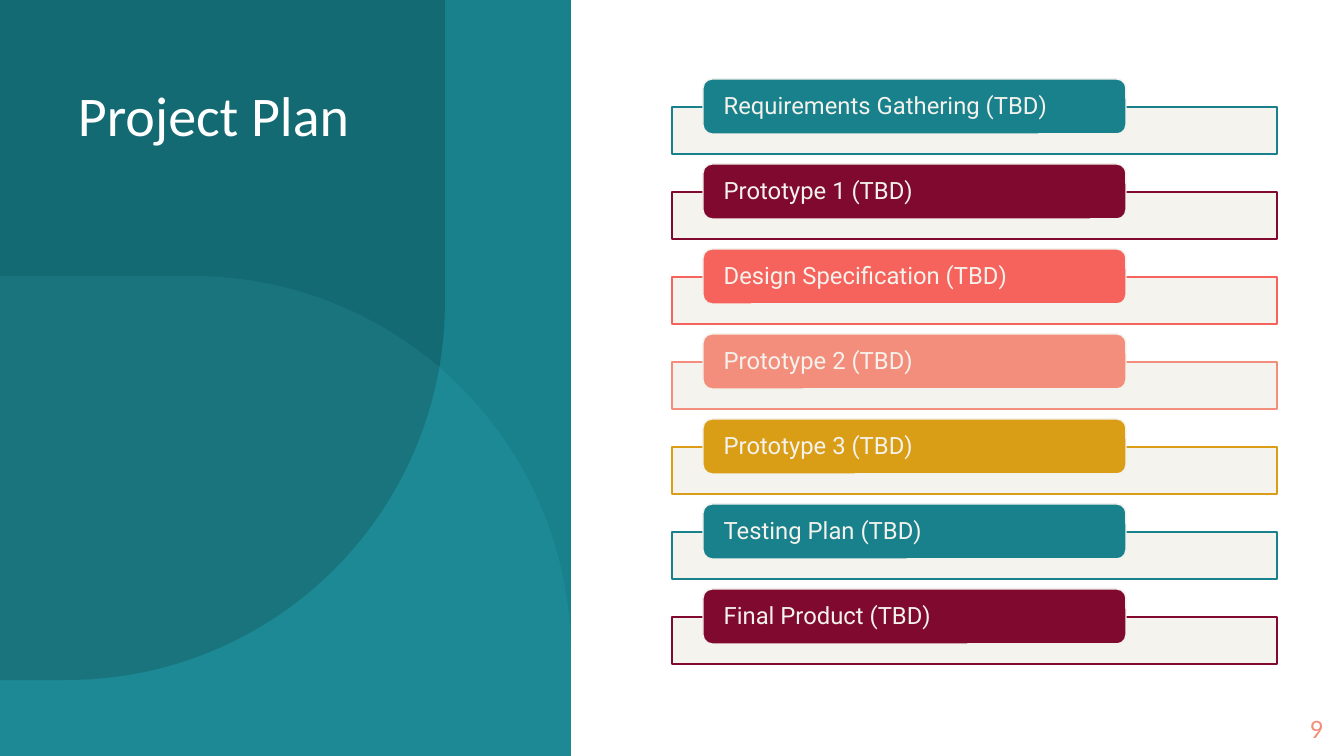
import math

from lxml import etree
from pptx import Presentation, util as u
from pptx.dml.color import RGBColor
from pptx.enum import shapes, text
from pptx.oxml import ns

# Content
TITLE = "Project Plan"
PAGE_NUMBER = "9"
STAGES = [
    ("Requirements Gathering (TBD)", "teal"),
    ("Prototype 1 (TBD)", "wine"),
    ("Design Specification (TBD)", "coral"),
    ("Prototype 2 (TBD)", "salmon"),
    ("Prototype 3 (TBD)", "gold"),
    ("Testing Plan (TBD)", "teal"),
    ("Final Product (TBD)", "wine"),
]
COLORS = {
    "teal": "18818C", "deep_teal": "126169", "aqua": "4ED3E1",
    "wine": "800A2F", "coral": "F6635C", "salmon": "F48E7C",
    "gold": "DA9D16", "cream": "F4F2EC", "white": "FFFFFF",
}

# Geometry in px
PX = 914400 / 100.8
SLIDE_WIDTH, SLIDE_HEIGHT = 1344, 756
PANEL_WIDTH = 571
ARC_RADIUS, ARC_STEPS = 378, 60
STAGE_PITCH = 85
FRAME = (672, 107, 605, 47)
LABEL = (703, 79, 423, 55)


def px(value):
    return u.Emu(round(value * PX))


def color(name):
    return RGBColor.from_string(COLORS[name])


def paint(shape, fill, opacity=100, line=None):
    shape.shadow.inherit = False
    shape.fill.solid()
    shape.fill.fore_color.rgb = color(fill)
    if opacity < 100:
        rgb = shape._element.spPr.find(ns.qn("a:solidFill"))[0]
        etree.SubElement(rgb, ns.qn("a:alpha"), val=str(opacity * 1000))
    if line:
        shape.line.color.rgb = color(line)
        shape.line.width = u.Pt(1)
    else:
        shape.line.fill.background()


def add_box(kind, box, *style):
    shape = slide.shapes.add_shape(kind, *map(px, box))
    paint(shape, *style)
    return shape


def write(shape, words, font_name, size, font_color):
    paragraph = shape.text_frame.paragraphs[0]
    paragraph.text = words
    paragraph.font.name = font_name
    paragraph.font.size = u.Pt(size)
    paragraph.font.color.rgb = color(font_color)
    return paragraph


def add_text(box, *style):
    shape = slide.shapes.add_textbox(*map(px, box))
    shape.text_frame.word_wrap = True
    return shape, write(shape, *style)


def quarter_arc(center_x, center_y, start):
    """Points of a clockwise quarter circle, start in degrees."""
    angles = [math.radians(start + 90 * step / ARC_STEPS)
              for step in range(ARC_STEPS + 1)]
    return [(center_x + ARC_RADIUS * math.cos(angle),
             center_y + ARC_RADIUS * math.sin(angle)) for angle in angles]


def add_outline(points, fill, opacity):
    builder = slide.shapes.build_freeform(
        *(round(value * PX) for value in points[0]), scale=1.0)
    builder.add_line_segments(
        [(px(x), px(y)) for x, y in points[1:]], close=True)
    paint(builder.convert_to_shape(), fill, opacity)


presentation = Presentation()
presentation.slide_width = px(SLIDE_WIDTH)
presentation.slide_height = px(SLIDE_HEIGHT)
slide = presentation.slides.add_slide(presentation.slide_layouts[6])

# Left panel with two overlapping rounded outlines
add_box(shapes.MSO_SHAPE.RECTANGLE, (0, 0, PANEL_WIDTH, SLIDE_HEIGHT), "teal")
add_outline([(0, 0), (445, 0), *quarter_arc(67, 302, 0), (0, 680)],
            "deep_teal", 70)
add_outline([(0, 276), *quarter_arc(193, 654, -90),
             (PANEL_WIDTH, SLIDE_HEIGHT), (0, SLIDE_HEIGHT)], "aqua", 10)

# Title and page number
add_text((68, 76, 445, 444), TITLE, "Calibri", 40, "white")
number, paragraph = add_text((1256, 710, 77, 40), PAGE_NUMBER,
                             "Calibri", 19, "salmon")
number.text_frame.vertical_anchor = text.MSO_ANCHOR.MIDDLE
paragraph.alignment = text.PP_ALIGN.RIGHT
paragraph.line_spacing = 0.9

# Stages: a pale frame with a coloured label on its top edge
for index, (stage, accent) in enumerate(STAGES):
    shift = index * STAGE_PITCH
    left, top, width, height = FRAME
    add_box(shapes.MSO_SHAPE.RECTANGLE, (left, top + shift, width, height),
            "cream", 90, accent)
    left, top, width, height = LABEL
    label = add_box(shapes.MSO_SHAPE.ROUNDED_RECTANGLE,
                    (left, top + shift, width, height), accent, 100, "cream")
    frame = label.text_frame
    frame.word_wrap = True
    frame.vertical_anchor = text.MSO_ANCHOR.MIDDLE
    frame.margin_left = frame.margin_right = px(18)
    frame.margin_top = frame.margin_bottom = 0
    paragraph = write(label, stage, "Roboto", 17, "cream")
    paragraph.alignment = text.PP_ALIGN.LEFT
    paragraph.line_spacing = 0.9

presentation.save("out.pptx")
